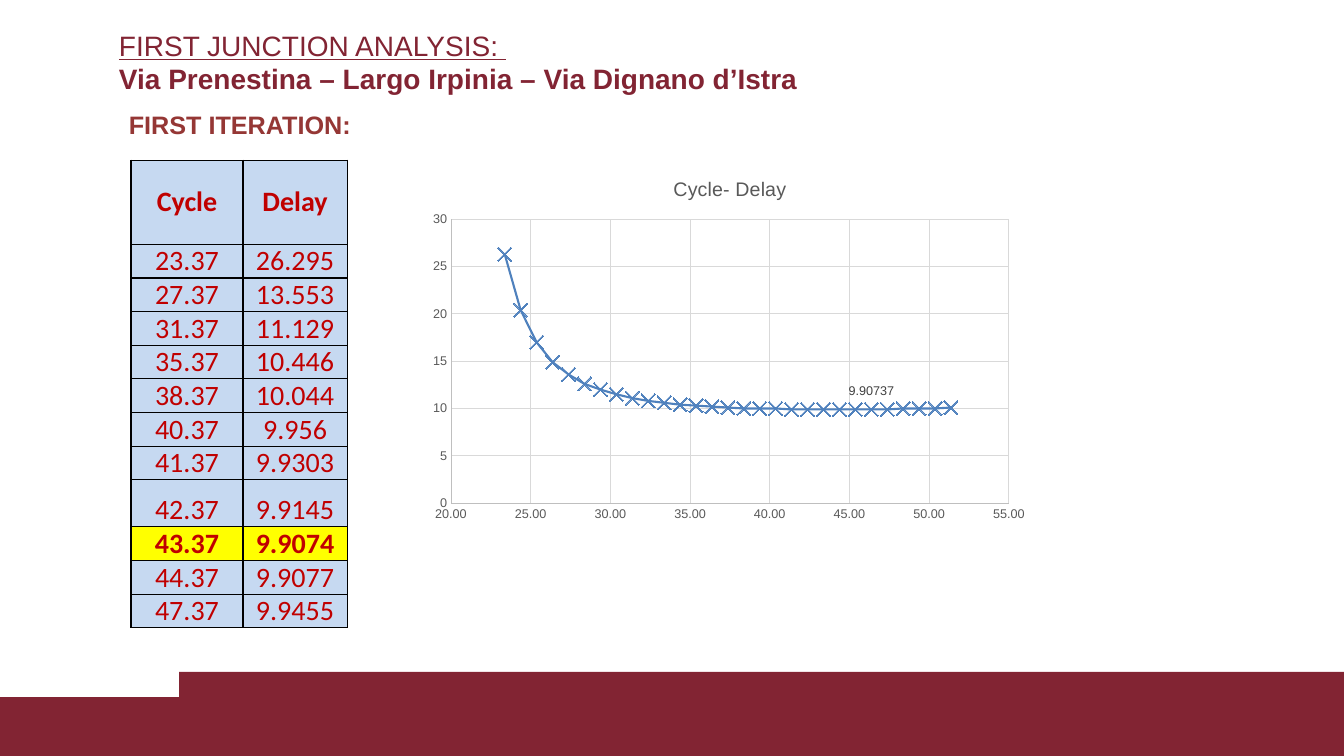
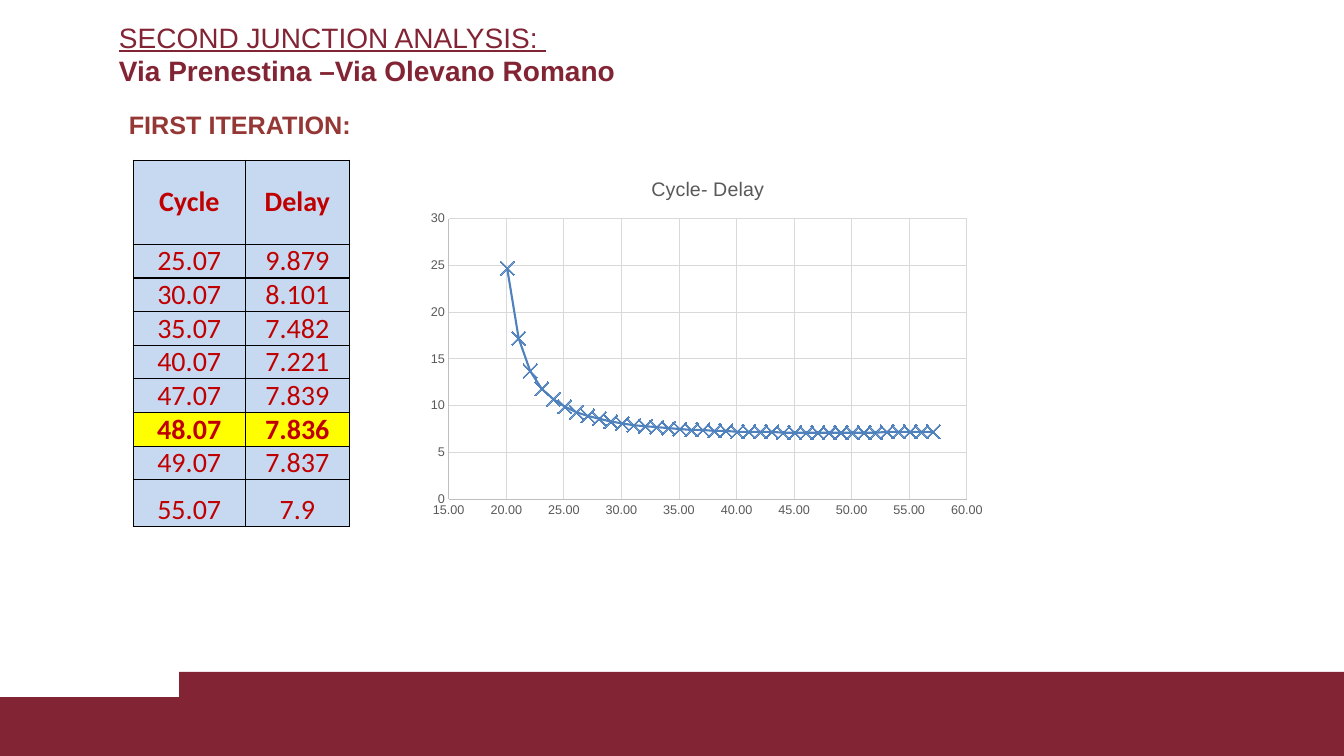
from lxml import etree
from pptx import Presentation
from pptx import util as u
from pptx.chart.data import XyChartData
from pptx.dml.color import RGBColor
from pptx.enum import chart as charts, shapes, text
from pptx.oxml import parse_xml
from pptx.oxml.ns import nsdecls, qn

# Shared look
CRIMSON, BRICK, RED = "822433", "953735", "C00000"
PALE_BLUE, YELLOW, BLACK = "C6D9F1", "FFFF00", "000000"
CURVE, GRID, AXIS, LABEL, DARK = "4F81BD", "D9D9D9", "BFBFBF", "595959", "404040"

JUNCTIONS = [
    dict(
        title="FIRST JUNCTION ANALYSIS: ",
        streets="Via Prenestina – Largo Irpinia – Via Dignano d’Istra",
        title_row=3.36, table_column=11.7, best="43.37", tall="42.37",
        rows=[("23.37", "26.295"), ("27.37", "13.553"), ("31.37", "11.129"),
              ("35.37", "10.446"), ("38.37", "10.044"), ("40.37", "9.956"),
              ("41.37", "9.9303"), ("42.37", "9.9145"), ("43.37", "9.9074"),
              ("44.37", "9.9077"), ("47.37", "9.9455")],
        chart_size=(55.35, 43.9), x_range=(20, 55), first_cycle=23.37,
        delays=[26.3, 20.4, 17, 14.9, 13.6, 12.6, 12, 11.5, 11.1, 10.8, 10.6,
                10.4, 10.3, 10.2, 10.1, 10, 10, 10, 9.9, 9.9, 9.9, 9.9, 9.9,
                9.9, 9.9, 10, 10, 10, 10.1],
        optimum=(43.37, 9.9), point_label=(23, "9.90737"),
    ),
    dict(
        title="SECOND JUNCTION ANALYSIS: ",
        streets="Via Prenestina –Via Olevano Romano",
        title_row=2.4, table_column=11.9, best="48.07", tall="55.07",
        rows=[("25.07", "9.879"), ("30.07", "8.101"), ("35.07", "7.482"),
              ("40.07", "7.221"), ("47.07", "7.839"), ("48.07", "7.836"),
              ("49.07", "7.837"), ("55.07", "7.9")],
        chart_size=(51.4, 43.4), x_range=(15, 60), first_cycle=20.07,
        delays=[24.7, 17.2, 13.7, 11.8, 10.7, 9.9, 9.3, 8.9, 8.6, 8.3, 8.1,
                7.9, 7.8, 7.7, 7.6, 7.5, 7.4, 7.4, 7.3, 7.3, 7.2, 7.2, 7.2,
                7.2, 7.1, 7.1, 7.1, 7.1, 7.1, 7.1, 7.1, 7.1, 7.1, 7.2, 7.2,
                7.2, 7.2, 7.2],
        optimum=(48.07, 7.1), point_label=None,
    ),
]


def color(hex_string):
    return RGBColor.from_string(hex_string)


def write(paragraph, words, size=20, ink=CRIMSON, font="Arial", bold=False,
          underline=False, align=None):
    run = paragraph.add_run()
    run.text = words
    run.font.size, run.font.name = u.Pt(size), font
    run.font.bold, run.font.underline = bold, underline
    run.font.color.rgb = color(ink)
    if align is not None:
        paragraph.alignment = align


presentation = Presentation()
presentation.slide_width, presentation.slide_height = u.Inches(13.33), u.Inches(7.5)

# Grid of 120 columns and 90 rows
column = presentation.slide_width / 120
row = presentation.slide_height / 90

for junction in JUNCTIONS:
    slide = presentation.slides.add_slide(presentation.slide_layouts[6])

    # Stepped footer band
    for left, top, right in [(0, 83, 16), (16, 80, 120)]:
        band = slide.shapes.add_shape(
            shapes.MSO_SHAPE.RECTANGLE, int(left * column), int(top * row),
            int((right - left) * column), int((90 - top) * row))
        band.shadow.inherit = False
        band.fill.solid()
        band.fill.fore_color.rgb = color(CRIMSON)
        band.line.fill.background()

    # Title and street names
    title = slide.shapes.add_textbox(
        int(10.62 * column), int(junction["title_row"] * row),
        int(98.8 * column), int(8 * row)).text_frame
    title.word_wrap = True
    title.margin_left = title.margin_top = title.margin_right = title.margin_bottom = 0
    paragraph = title.paragraphs[0]
    write(paragraph, junction["title"], underline=True)
    paragraph.add_line_break()
    write(paragraph, junction["streets"], bold=True)

    # Subtitle
    subtitle = slide.shapes.add_textbox(
        int(10.62 * column), int(12.4 * row),
        int(55.35 * column), int(4.8 * row)).text_frame
    subtitle.word_wrap = True
    write(subtitle.paragraphs[0], "FIRST ITERATION:", size=18, ink=BRICK, bold=True)

    # Table of cycles and delays
    cells = [("Cycle", "Delay")] + junction["rows"]
    table = slide.shapes.add_table(
        len(cells), 2, int(junction["table_column"] * column), int(19.08 * row),
        int(19.3 * column), int(4 * row * len(cells))).table
    table.first_row = table.horz_banding = False
    for index, width in enumerate([10, 9.3]):
        table.columns[index].width = int(width * column)
    for row_index, values in enumerate(cells):
        header, best = row_index == 0, values[0] == junction["best"]
        height = 10 if header else 5.6 if values[0] == junction["tall"] else 4
        table.rows[row_index].height = int(height * row)
        for column_index, value in enumerate(values):
            cell = table.cell(row_index, column_index)
            margin = u.Inches(0.05 if header else 0)
            cell.margin_left = cell.margin_right = margin
            cell.margin_top = cell.margin_bottom = margin
            cell.vertical_anchor = (text.MSO_ANCHOR.MIDDLE if header
                                    else text.MSO_ANCHOR.BOTTOM)
            cell.fill.solid()
            cell.fill.fore_color.rgb = color(YELLOW if best else PALE_BLUE)
            write(cell.text_frame.paragraphs[0], value, ink=RED, font="Calibri",
                  bold=header or best, align=text.PP_ALIGN.CENTER)
            properties = cell._tc.get_or_add_tcPr()
            for position, side in enumerate(["lnL", "lnR", "lnT", "lnB"]):
                properties.insert(position, parse_xml(
                    f'<a:{side} {nsdecls("a")} w="12700"><a:solidFill>'
                    f'<a:srgbClr val="{BLACK}"/></a:solidFill></a:{side}>'))

    # Delay curve and its optimum
    data = XyChartData()
    curve = data.add_series("Series 1")
    for step, delay in enumerate(junction["delays"]):
        curve.add_data_point(round(junction["first_cycle"] + step, 2), delay)
    data.add_series("Series 2").add_data_point(*junction["optimum"])
    chart_width, chart_height = junction["chart_size"]
    chart = slide.shapes.add_chart(
        charts.XL_CHART_TYPE.XY_SCATTER_SMOOTH, int(37.5 * column), int(19.08 * row),
        int(chart_width * column), int(chart_height * row), data).chart
    chart.has_legend = False
    chart.font.size, chart.font.name = u.Pt(10), "Arial"
    chart.has_title = True
    write(chart.chart_title.text_frame.paragraphs[0], "Cycle- Delay", size=14, ink=LABEL)
    chart.chart_title.include_in_layout = False

    # Axes
    for axis, limits, number_format in [
            (chart.category_axis, junction["x_range"], "0.00"),
            (chart.value_axis, (0, 30), "0")]:
        axis.minimum_scale, axis.maximum_scale = limits
        axis.major_unit = 5
        axis.major_tick_mark = axis.minor_tick_mark = charts.XL_TICK_MARK.NONE
        axis.has_major_gridlines = True
        for line, ink in [(axis.format.line, AXIS),
                          (axis.major_gridlines.format.line, GRID)]:
            line.color.rgb, line.width = color(ink), u.Pt(0.75)
        axis.tick_labels.number_format = number_format
        axis.tick_labels.number_format_is_linked = False
        font = axis.tick_labels.font
        font.size, font.name, font.color.rgb = u.Pt(9), "Arial", color(LABEL)

    # Series style
    chart.plots[0].vary_by_categories = False
    for series in chart.plots[0].series:
        series.smooth = True
        series.format.line.color.rgb = color(CURVE)
        series.format.line.width = u.Pt(1.5)
        series.marker.style, series.marker.size = charts.XL_MARKER_STYLE.X, 10
        series.marker.format.fill.solid()
        series.marker.format.fill.fore_color.rgb = color(CURVE)
        series.marker.format.line.fill.background()

    if junction["point_label"]:
        point, words = junction["point_label"]
        label = chart.plots[0].series[0].points[point].data_label
        write(label.text_frame.paragraphs[0], words, size=9, ink=DARK)
        label.position = charts.XL_LABEL_POSITION.ABOVE

    # Fixed plot area, as shares of the chart
    plot_area = chart._chartSpace.chart.plotArea
    for layout in plot_area.findall(qn("c:layout")):
        plot_area.remove(layout)
    layout = etree.Element(qn("c:layout"))
    manual = etree.SubElement(layout, qn("c:manualLayout"))
    for tag, value in [("layoutTarget", "inner"), ("xMode", "edge"), ("yMode", "edge"),
                       ("x", "0.05"), ("y", "0.16"), ("w", "0.9"), ("h", "0.77")]:
        etree.SubElement(manual, qn(f"c:{tag}")).set("val", value)
    plot_area.insert(0, layout)

presentation.save("out.pptx")
